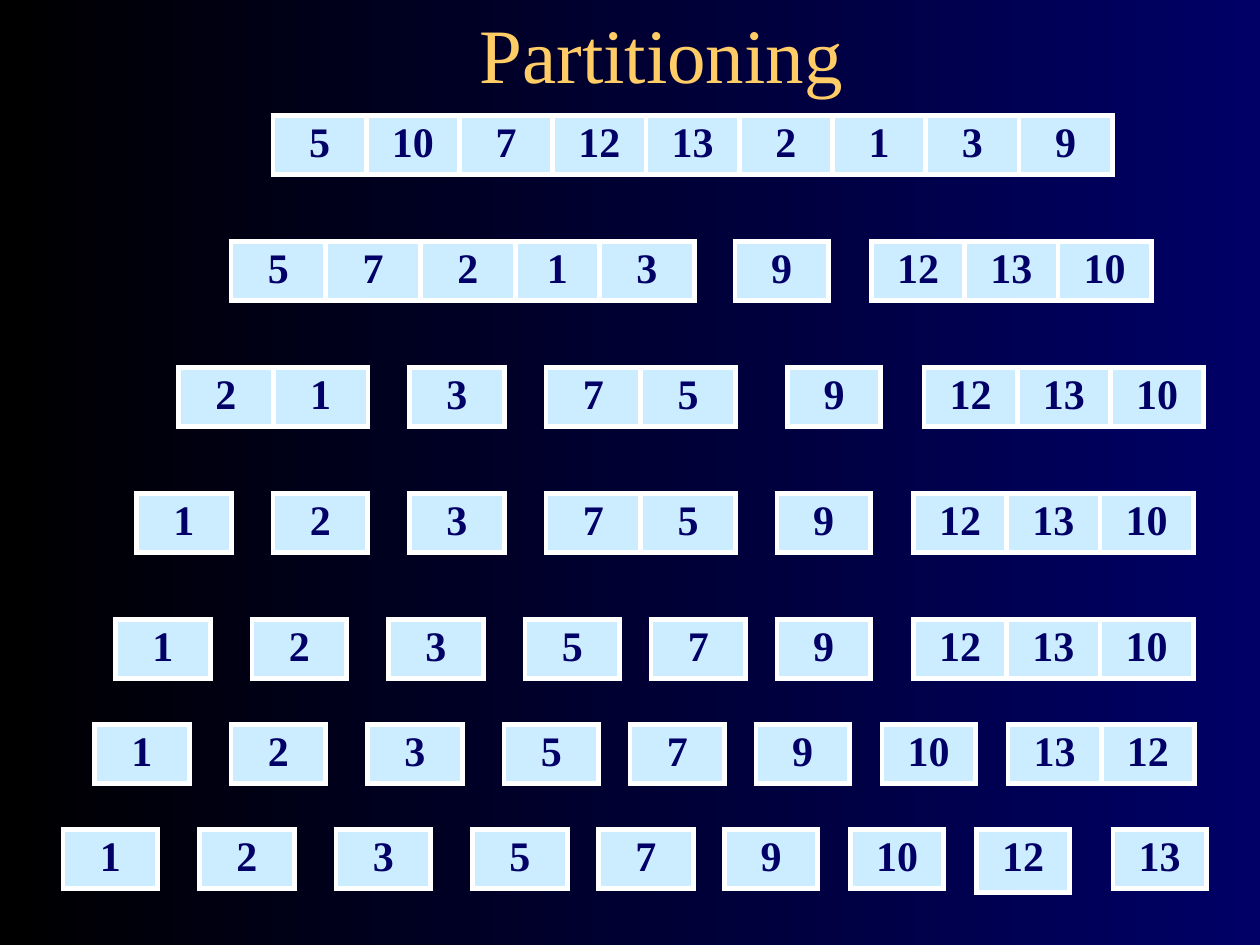
from lxml.etree import SubElement
from pptx import Presentation
from pptx.dml.color import RGBColor
from pptx.enum.text import MSO_ANCHOR, PP_ALIGN
from pptx.oxml.ns import qn
from pptx.util import Cm, Pt

COLORS = {
    "background_start": "000000",
    "background_end": "000066",
    "title": "FFCC66",
    "number": "000066",
    "cell": "CCECFF",
    "border": "FFFFFF",
}
FONT = "Times New Roman"
GRID = Cm(2.54) / 12
ROW_HEIGHT = Cm(1.19)
TALL_ROW_HEIGHT = Cm(1.27)
WIDE, NARROW, SLIM = Cm(1.91), Cm(1.88), Cm(1.7)

STAGES = [
    (11, [(26, [5, 10, 7, 12, 13, 2, 1, 3, 9])]),
    (23, [(22, [5, 7, 2, 1, 3]), (70, [9]), (83, [12, 13, 10])]),
    (35, [(17, [2, 1]), (39, [3]), (52, [7, 5]), (75, [9]), (88, [12, 13, 10])]),
    (47, [(13, [1]), (26, [2]), (39, [3]), (52, [7, 5]), (74, [9]),
          (87, [12, 13, 10])]),
    (59, [(11, [1]), (24, [2]), (37, [3]), (50, [5]), (62, [7]), (74, [9]),
          (87, [12, 13, 10])]),
    (69, [(9, [1]), (22, [2]), (35, [3]), (48, [5]), (60, [7]), (72, [9]),
          (84, [10]), (96, [13, 12])]),
    (79, [(6, [1]), (19, [2]), (32, [3]), (45, [5]), (57, [7]), (69, [9]),
          (81, [10]), (93, [12]), (106, [13])]),
]


def color(name):
    return RGBColor.from_string(COLORS[name])


def write_text(text_frame, text, size, color_name, bold=False):
    paragraph = text_frame.paragraphs[0]
    paragraph.alignment = PP_ALIGN.CENTER
    run = paragraph.add_run()
    run.text = text
    run.font.name = FONT
    run.font.size = Pt(size)
    run.font.bold = bold
    run.font.color.rgb = color(color_name)


def paint_background(slide):
    fill = slide.background.fill
    fill.gradient()
    fill.gradient_angle = 0
    for stop, name in zip(fill.gradient_stops, ("background_start", "background_end")):
        stop.color.rgb = color(name)


def add_title(slide, text):
    title = slide.shapes.add_textbox(Cm(2.54), 0, Cm(21.59), Cm(2.12))
    title.text_frame.word_wrap = True
    title.text_frame.vertical_anchor = MSO_ANCHOR.MIDDLE
    write_text(title.text_frame, text, size=44, color_name="title")


def draw_borders(cell):
    properties = cell._tc.get_or_add_tcPr()
    for position, side in enumerate(("a:lnL", "a:lnR", "a:lnT", "a:lnB")):
        line = SubElement(properties, qn(side), w=str(Pt(3)))
        fill = SubElement(line, qn("a:solidFill"))
        SubElement(fill, qn("a:srgbClr"), val=COLORS["border"])
        properties.insert(position, line)


def format_cell(cell, value):
    cell.margin_top = cell.margin_bottom = Cm(0.1)
    cell.vertical_anchor = MSO_ANCHOR.TOP
    cell.fill.solid()
    cell.fill.fore_color.rgb = color("cell")
    draw_borders(cell)
    write_text(cell.text_frame, str(value), size=24, color_name="number", bold=True)


def column_widths(values):
    width = WIDE if max(values) < 9 else NARROW
    return [SLIM if len(values) == 5 and value == 1 else width for value in values]


def add_partition(slide, left, top, values, height):
    widths = column_widths(values)
    table = slide.shapes.add_table(
        1, len(values), round(left * GRID), round(top * GRID), sum(widths), height
    ).table
    table.first_row = table.horz_banding = False
    for index, (value, width) in enumerate(zip(values, widths)):
        table.columns[index].width = width
        format_cell(table.cell(0, index), value)


def main():
    presentation = Presentation()
    presentation.slide_width = Cm(25.4)
    presentation.slide_height = Cm(19.05)
    slide = presentation.slides.add_slide(presentation.slide_layouts[6])
    paint_background(slide)
    for top, partitions in STAGES:
        for left, values in partitions:
            height = TALL_ROW_HEIGHT if values == [12] else ROW_HEIGHT
            add_partition(slide, left, top, values, height)
    add_title(slide, "Partitioning")
    presentation.save("out.pptx")


if __name__ == "__main__":
    main()
